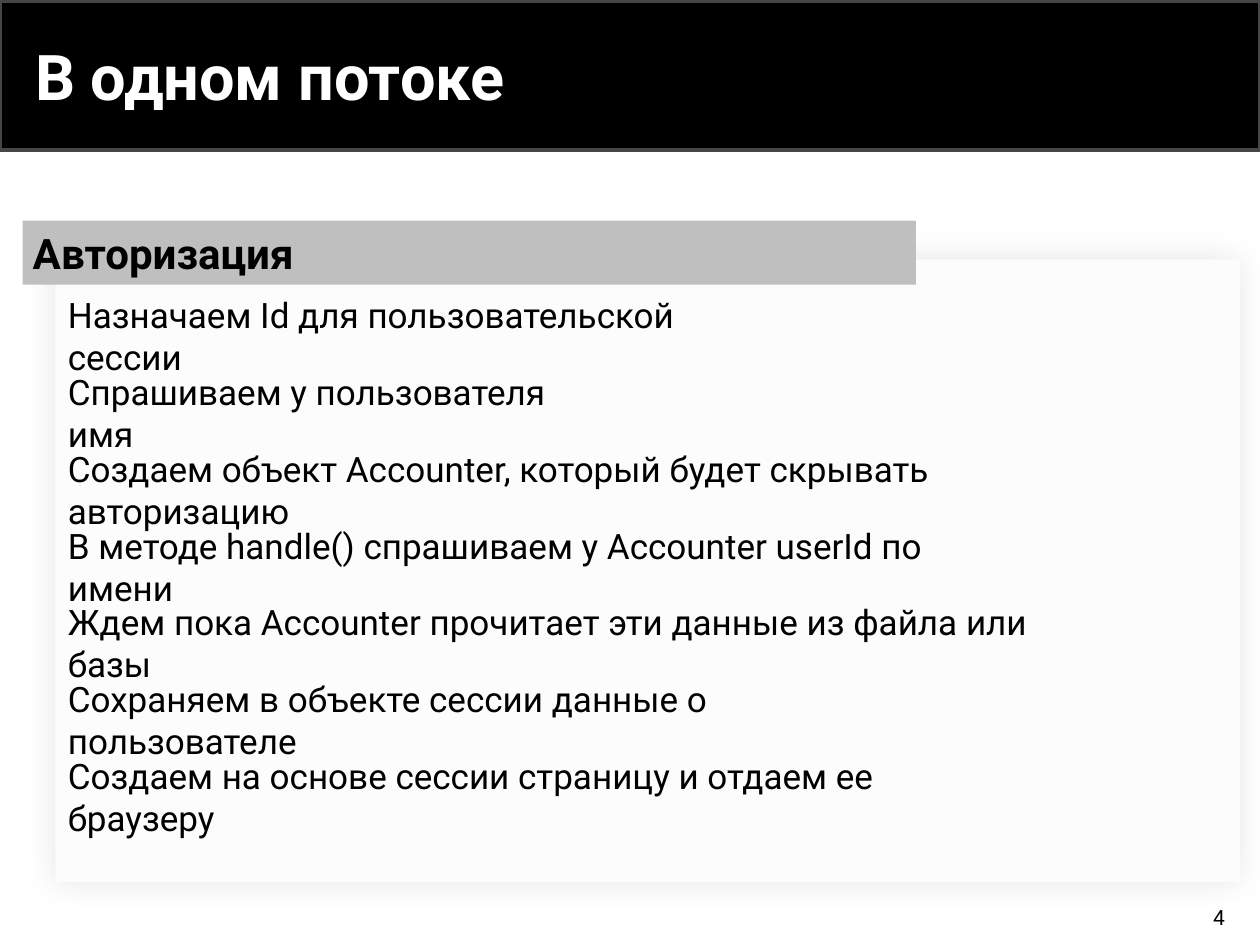
"""Builds the slide on single-threaded authorization."""
from lxml.etree import SubElement
from pptx import Presentation
from pptx.dml.color import RGBColor
from pptx.enum.shapes import MSO_SHAPE
from pptx.enum.text import MSO_ANCHOR, PP_ALIGN
from pptx.oxml.ns import qn
from pptx.util import Inches, Pt

BLACK = RGBColor(0x00, 0x00, 0x00)
WHITE = RGBColor(0xFF, 0xFF, 0xFF)
BORDER = RGBColor(0x46, 0x46, 0x46)
PANEL = RGBColor(0xFC, 0xFC, 0xFC)
GREY = RGBColor(0xBF, 0xBF, 0xBF)

deck = Presentation()
deck.slide_width, deck.slide_height = Inches(10), Inches(7.5)
page = deck.slides.add_slide(deck.slide_layouts[6])
COLUMN = deck.slide_width / 100
ROW = deck.slide_height / 75


def place(left, top, width, height):
    return [round(value) for value in (left * COLUMN, top * ROW, width * COLUMN, height * ROW)]


def add_rectangle(area, fill):
    box = page.shapes.add_shape(MSO_SHAPE.RECTANGLE, *place(*area))
    box.shadow.inherit = False
    box.fill.solid()
    box.fill.fore_color.rgb = fill
    box.line.fill.background()
    return box


banner = add_rectangle((0, 0.1, 100, 11.8), BLACK)
banner.line.color.rgb = BORDER
banner.line.width = Pt(2)

panel = add_rectangle((4.4, 20.6, 94, 49.4), PANEL)
effects = panel.element.spPr.find(qn("a:effectLst"))
shadow = SubElement(effects, qn("a:outerShdw"), blurRad=str(Pt(19)), dist="0", dir="0",
                    algn="ctr", rotWithShape="0")
shadow_color = SubElement(shadow, qn("a:srgbClr"), val=str(BLACK))
SubElement(shadow_color, qn("a:alpha"), val="10000")

title = page.shapes.add_textbox(*place(1.8, 1, 81.5, 10))
number = page.shapes.add_textbox(*place(75.4, 71.3, 22.8, 3))
texts = [
    (title, "В одном потоке", 36, WHITE, True, MSO_ANCHOR.MIDDLE),
    (number, "4", 12, BLACK, False, MSO_ANCHOR.MIDDLE),
]

steps = [
    ("Назначаем Id для пользовательской сесcии", 54.6),
    ("Спрашиваем у пользователя имя", 41),
    ("Создаем объект Accounter, который будет скрывать авторизацию", 81.6),
    ("В методе handle() спрашиваем у Accounter userId по имени", 73.5),
    ("Ждем пока Accounter прочитает эти данные из файла или базы", 78.7),
    ("Сохраняем в объекте сессии данные о пользователе", 64.2),
    ("Создаем на основе сесcии страницу и отдаем ее браузеру", 71.7),
]
for index, (words, width) in enumerate(steps):
    box = page.shapes.add_textbox(*place(4.4, 22.8 + 6.1 * index, width, 4.4))
    texts.append((box, words, 20, BLACK, False, MSO_ANCHOR.TOP))

heading = add_rectangle((1.8, 17.5, 70.9, 5.1), GREY)
frame = heading.text_frame
frame.margin_left = frame.margin_right = Inches(0.08)
frame.margin_top = frame.margin_bottom = Inches(0.04)
texts.append((heading, "Авторизация", 24, BLACK, True, MSO_ANCHOR.MIDDLE))

for box, words, size, color, bold, anchor in texts:
    box.text_frame.word_wrap = True
    box.text_frame.vertical_anchor = anchor
    para = box.text_frame.paragraphs[0]
    para.text = words
    para.alignment = PP_ALIGN.LEFT
    para.font.name = "Roboto"
    para.font.size = Pt(size)
    para.font.bold = bold
    para.font.color.rgb = color

number.text_frame.paragraphs[0].alignment = PP_ALIGN.RIGHT
heading.text_frame.paragraphs[0].space_after = Pt(6)

deck.save("out.pptx")
